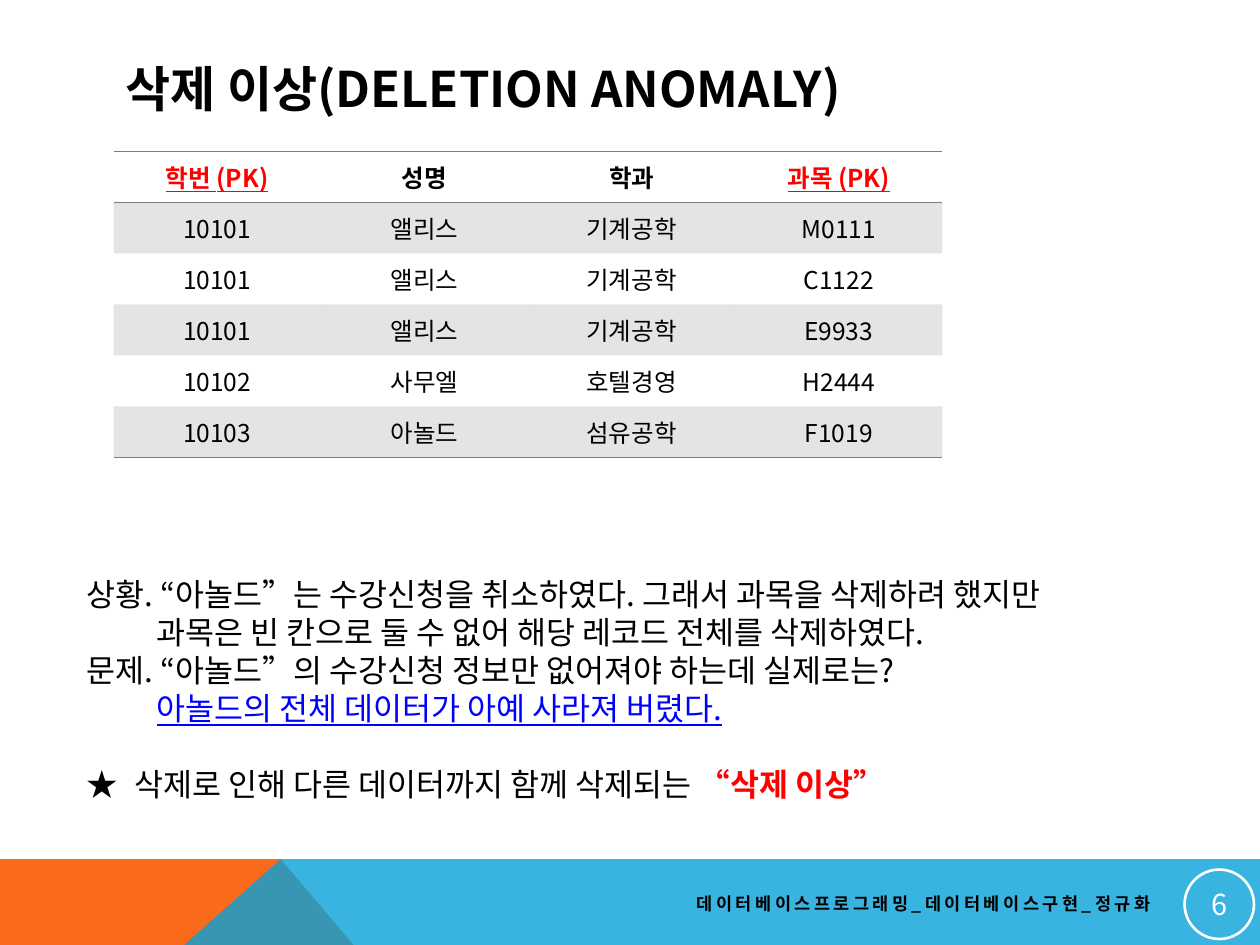
from lxml import etree
from pptx import Presentation
from pptx.dml.color import RGBColor
from pptx.enum.shapes import MSO_SHAPE
from pptx.enum.text import MSO_ANCHOR, PP_ALIGN
from pptx.oxml.ns import qn
from pptx.util import Cm, Pt

LEFT, MID, RIGHT = PP_ALIGN.LEFT, PP_ALIGN.CENTER, PP_ALIGN.RIGHT
TOP, CENTER = MSO_ANCHOR.TOP, MSO_ANCHOR.MIDDLE
OVAL = MSO_SHAPE.OVAL
FONT = "Noto Sans CJK KR"
PLAIN = "{2D5ABB26-0587-4C30-8999-92F81FD0307C}"  # table style without grid
HUES = {
    "black": "000000",
    "white": "FFFFFF",
    "red": "FF0000",
    "link": "0000FF",
    "gray": "797B7E",
    "orange": "F96A1B",
    "blue": "08A1D9",
}


def hue(name):
    return RGBColor.from_string(HUES[name])


def run(text, **fmt):
    """Pair a text with its format: size, color, bold, under, space."""
    return text, fmt


def write(para, text, size=18, color="black", bold=False, under=False, space=0):
    item = para.add_run()
    item.text = text
    font = item.font
    font.size, font.bold, font.underline = Pt(size), bold, under
    font.color.rgb = hue(color)
    font.name = FONT
    props = item._r.get_or_add_rPr()
    etree.SubElement(props, qn("a:ea"), typeface=FONT)
    if space:
        props.set("spc", str(space * 100))


def paint(fill, color, alpha=100):
    """Fill with a colour; alpha is the opacity in percent."""
    fill.solid()
    fill.fore_color.rgb = hue(color)
    if alpha < 100:
        tone = fill._xPr.find(f".//{qn('a:srgbClr')}")
        etree.SubElement(tone, qn("a:alpha"), val=str(alpha * 1000))


def edge(cell, side):
    """Rule one side of a cell: T or B."""
    props = cell._tc.get_or_add_tcPr()
    line = etree.Element(qn(f"a:ln{side}"), w=str(Pt(1)))
    solid = etree.SubElement(line, qn("a:solidFill"))
    etree.SubElement(solid, qn("a:srgbClr"), val=HUES["gray"])
    props.insert(len(props.findall(qn("a:lnT"))), line)


class Deck:
    def __init__(self, wide, high):
        self.show = Presentation()
        self.show.slide_width, self.show.slide_height = Cm(wide), Cm(high)
        self.slide = self.show.slides.add_slide(self.show.slide_layouts[6])
        self.shapes = self.slide.shapes

    def poly(self, points, color, alpha=100):
        spots = [(Cm(x), Cm(y)) for x, y in points]
        pen = self.shapes.build_freeform(*spots[0])
        pen.add_line_segments(spots[1:], close=True)
        shape = pen.convert_to_shape()
        shape.shadow.inherit = False
        paint(shape.fill, color, alpha)
        shape.line.fill.background()

    def text(self, box, lines, align=LEFT, anchor=CENTER, pitch=None):
        """Each line is (runs, indent, hang, gap): lengths in cm, gap in points."""
        frame = self.shapes.add_textbox(*map(Cm, box)).text_frame
        frame.word_wrap, frame.vertical_anchor = True, anchor
        for i, (runs, indent, hang, gap) in enumerate(lines):
            para = frame.add_paragraph() if i else frame.paragraphs[0]
            para.alignment = align
            if pitch:
                para.line_spacing = Pt(pitch)
            if gap:
                para.space_before = Pt(gap)
            if indent:
                props = para._p.get_or_add_pPr()
                props.set("marL", str(Cm(indent)))
                props.set("indent", str(-Cm(hang)))
            for words, fmt in runs:
                write(para, words, **fmt)

    def table(self, box, rows, keys):
        """Draw a ruled, banded table; keys are the columns of the primary key."""
        frame = self.shapes.add_table(len(rows), len(rows[0]), *map(Cm, box))
        grid = frame.table
        grid.horz_banding = False
        grid._tbl.tblPr.find(qn("a:tableStyleId")).text = PLAIN
        for r, row in enumerate(rows):
            grid.rows[r].height = Cm(box[3] / len(rows))
            for c, words in enumerate(row):
                cell, head = grid.cell(r, c), r == 0
                key = head and c in keys
                cell.vertical_anchor = CENTER
                para = cell.text_frame.paragraphs[0]
                para.alignment = MID
                write(para, words, size=14, bold=head, under=key,
                      color="red" if key else "black")
                if r % 2:
                    paint(cell.fill, "gray", 20)
                else:
                    cell.fill.background()
                if head:
                    edge(cell, "T")
                if head or r == len(rows) - 1:
                    edge(cell, "B")

    def badge(self, box, words):
        shape = self.shapes.add_shape(OVAL, *map(Cm, box))
        shape.shadow.inherit = False
        shape.fill.background()
        shape.line.color.rgb, shape.line.width = hue("white"), Pt(1.5)
        frame = shape.text_frame
        frame.margin_left = frame.margin_right = Cm(0.03)
        frame.margin_top = frame.margin_bottom = Cm(0.03)
        frame.vertical_anchor = CENTER
        para = frame.paragraphs[0]
        para.alignment = MID
        write(para, words, size=16.5, color="white")


def main():
    deck = Deck(25.4, 19.05)
    top, low, peak = 17.32, 22.35, 5.66
    deck.poly([(0, low), (0, top), (peak, top), (9.93, low)], "orange")
    deck.poly([(0, low), (peak, top), (25.4, top), (25.4, low)], "blue", 80)

    title = run("삭제 이상(DELETION ANOMALY)", size=28, bold=True)
    deck.text((2.29, 1.02, 20.88, 1.52), [([title], 0, 0, 0)])
    deck.table((2.29, 3.05, 16.71, 6.17), [
        ("학번 (PK)", "성명", "학과", "과목 (PK)"),
        ("10101", "앨리스", "기계공학", "M0111"),
        ("10101", "앨리스", "기계공학", "C1122"),
        ("10101", "앨리스", "기계공학", "E9933"),
        ("10102", "사무엘", "호텔경영", "H2444"),
        ("10103", "아놀드", "섬유공학", "F1019"),
    ], keys=(0, 3))

    foot = run("데이터베이스프로그래밍_데이터베이스구현_정규화",
               size=10, bold=True, space=2)
    deck.text((10.31, 17.83, 13.13, 0.76), [([foot], 0, 0, 0)], align=RIGHT)
    deck.badge((23.88, 17.53, 1.4, 1.4), "6")

    pitch = 21.7
    deck.text((1.5, 11.46, 21.74, 4.88), [
        ([run("상황. “아놀드”는 수강신청을 취소하였다. 그래서 과목을 삭제하려 했지만")], 0, 0, 0),
        ([run("과목은 빈 칸으로 둘 수 없어 해당 레코드 전체를 삭제하였다.")], 1.41, 0, 0),
        ([run("문제. “아놀드”의 수강신청 정보만 없어져야 하는데 실제로는?")], 0, 0, 0),
        ([run("아놀드의 전체 데이터가 아예 사라져 버렸다.", color="link", under=True)],
         1.41, 0, 0),
        ([run("★\t삭제로 인해 다른 데이터까지 함께 삭제되는 "),
          run("“삭제 이상”", color="red", bold=True)], 0.97, 0.97, pitch),
    ], anchor=TOP, pitch=pitch)
    deck.show.save("out.pptx")


if __name__ == "__main__":
    main()
